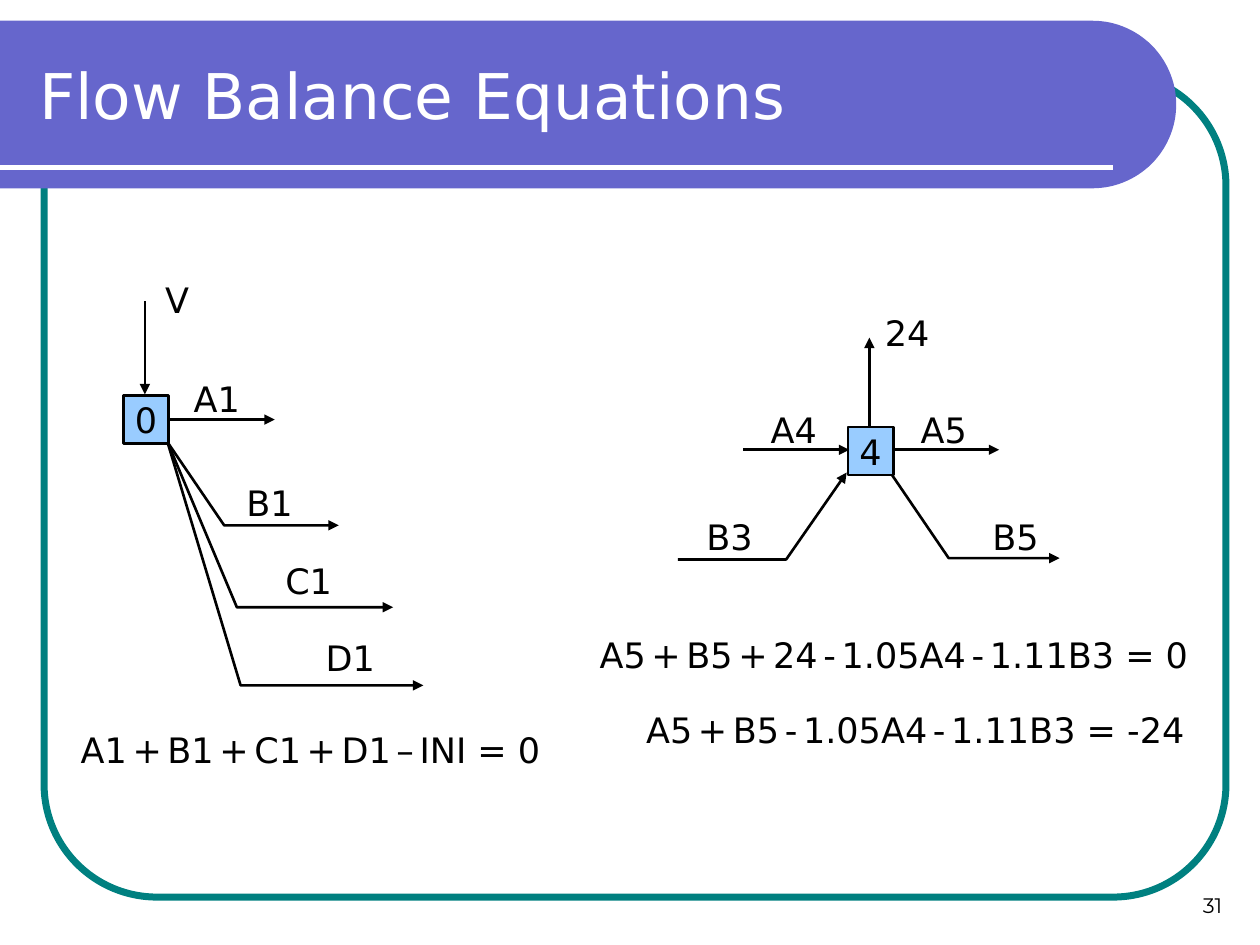
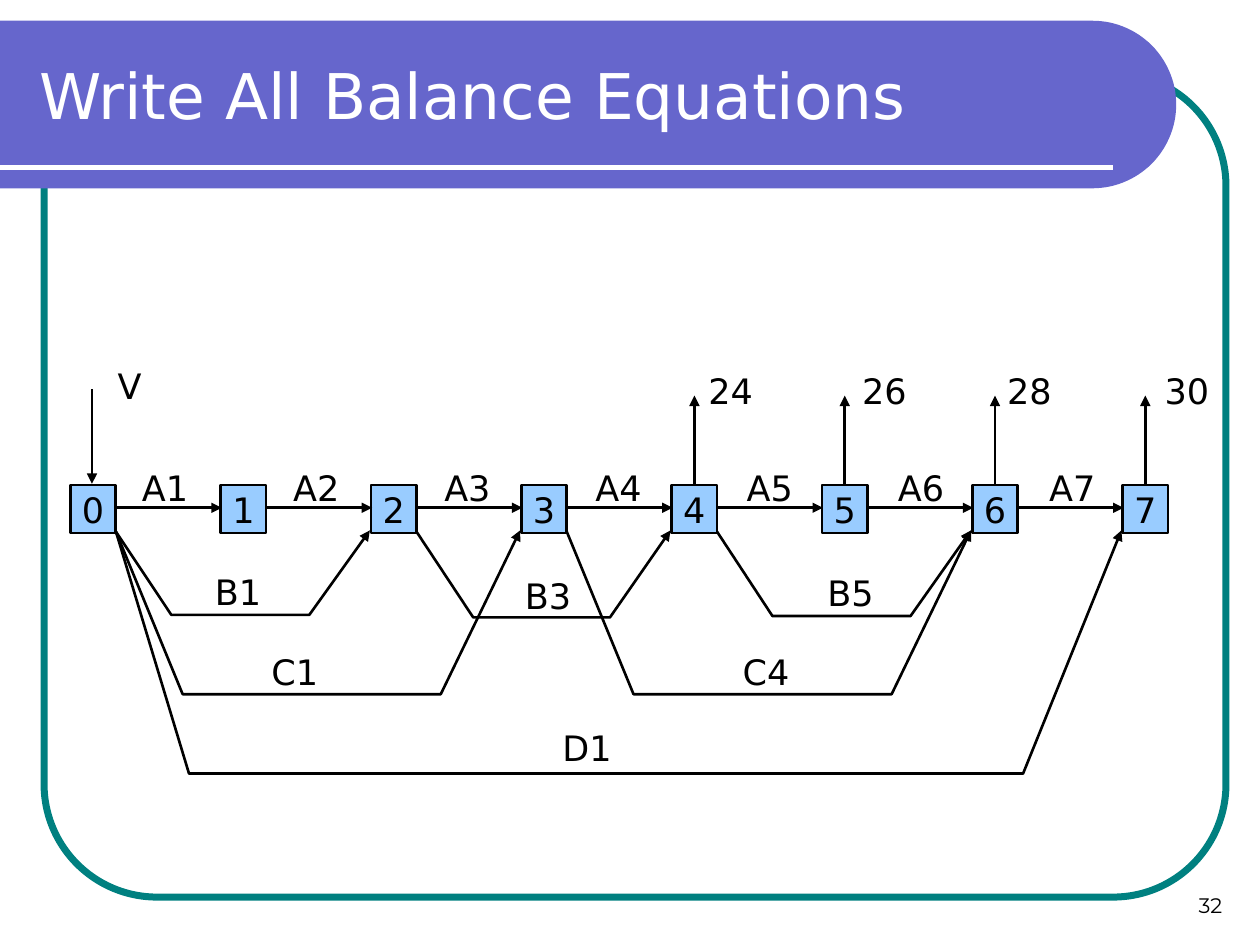
"""Build two slides on flow balance equations with python-pptx."""
import math

from lxml import etree
from pptx import Presentation
from pptx import util as u
from pptx.dml.color import RGBColor
from pptx.enum import shapes, text as t
from pptx.oxml import ns

BLACK = RGBColor(0x00, 0x00, 0x00)
WHITE = RGBColor(0xFF, 0xFF, 0xFF)
TEAL = RGBColor(0x00, 0x80, 0x80)
VIOLET = RGBColor(0x66, 0x66, 0xCC)
SKY = RGBColor(0x99, 0xCC, 0xFF)
FONT = "DejaVu Sans"
NUMBER_FONT = "Montserrat"
NODE_WIDTH, NODE_HEIGHT = 0.36, 0.38
LABEL_WIDTH, LABEL_HEIGHT = 0.6, 0.43


def box(left, top, width, height):
    return [u.Inches(value) for value in (left, top, width, height)]


def write(frame, content, size=20, color=BLACK, font=FONT, align=t.PP_ALIGN.CENTER,
          anchor=t.MSO_ANCHOR.TOP, wrap=True):
    frame.word_wrap = wrap
    frame.auto_size = t.MSO_AUTO_SIZE.NONE
    frame.vertical_anchor = anchor
    paragraph = frame.paragraphs[0]
    paragraph.alignment = align
    pieces = [(content, size)] if isinstance(content, str) else content
    for piece, piece_size in pieces:
        run = paragraph.add_run()
        run.text = piece
        run.font.size = u.Pt(piece_size)
        run.font.name = font
        run.font.color.rgb = color


class Deck:
    def __init__(self):
        self.presentation = Presentation()
        self.presentation.slide_width = u.Inches(10)
        self.presentation.slide_height = u.Inches(7.5)
        self.layout = self.presentation.slide_layouts[5]
        self.slide = None

    def add_slide(self, title, number):
        first = self.slide is None
        self.slide = self.presentation.slides.add_slide(self.layout)
        if first:
            self.decorate_layout()
        heading = self.slide.shapes.title
        heading.left, heading.top, heading.width, heading.height = box(0.21, 0.25, 8.77, 1)
        write(heading.text_frame, title, size=36, color=WHITE,
              align=t.PP_ALIGN.LEFT, anchor=t.MSO_ANCHOR.MIDDLE)
        self.text(str(number), 7.47, 6.83, 2.33, 0.5, size=12, font=NUMBER_FONT,
                  align=t.PP_ALIGN.RIGHT, anchor=t.MSO_ANCHOR.BOTTOM)

    def decorate_layout(self):
        frame = self.slide.shapes.add_shape(
            shapes.MSO_SHAPE.ROUNDED_RECTANGLE, *box(0.35, 0.58, 9.38, 6.54))
        frame.adjustments[0] = 0.137
        frame.fill.background()
        self.outline(frame, TEAL, 4)

        radius, center_x, center_y = 0.665, 8.67, 0.83
        angles = [math.radians(degree) for degree in range(-90, 91, 3)]
        arc = [(center_x + radius * math.cos(angle), center_y + radius * math.sin(angle))
               for angle in angles]
        band = self.freeform([(0, arc[0][1]), *arc, (0, arc[-1][1])], close=True)
        band.fill.solid()
        band.fill.fore_color.rgb = VIOLET
        band.line.fill.background()
        band.shadow.inherit = False

        rule = self.route((0, 1.33), (8.83, 1.33), color=WHITE, width=3, arrow=False)
        for shape in (frame, band, rule):
            self.layout.shapes.element.append(shape.element)

    def outline(self, shape, color=BLACK, width=1.5, arrow=False):
        shape.line.color.rgb = color
        shape.line.width = u.Pt(width)
        properties = shape.element.spPr
        if arrow:
            etree.SubElement(properties.find(ns.qn("a:ln")), ns.qn("a:tailEnd"), type="triangle")
        etree.SubElement(properties, ns.qn("a:effectLst"))

    def freeform(self, points, close=False):
        start, *others = [(u.Inches(x), u.Inches(y)) for x, y in points]
        builder = self.slide.shapes.build_freeform(*start)
        builder.add_line_segments(others, close=close)
        return builder.convert_to_shape()

    def route(self, *points, color=BLACK, width=1.5, arrow=True):
        if len(points) == 2:
            ends = [u.Inches(value) for point in points for value in point]
            shape = self.slide.shapes.add_connector(shapes.MSO_CONNECTOR.STRAIGHT, *ends)
        else:
            shape = self.freeform(points)
            shape.fill.background()
        self.outline(shape, color, width, arrow)
        return shape

    def text(self, content, left, top, width=LABEL_WIDTH, height=LABEL_HEIGHT, **style):
        shape = self.slide.shapes.add_textbox(*box(left, top, width, height))
        write(shape.text_frame, content, **style)

    def labels(self, places):
        for name, (left, top) in places.items():
            self.text(name, left, top)

    def equation(self, formula, left, top, width):
        terms, result = formula.split(" = ")
        *leading, last = terms.split(" ")
        pieces = [piece for term in leading for piece in ((term, 20), (" ", 10))]
        self.text(pieces + [(f"{last} = {result}", 20)], left, top, width)

    def node(self, name, left, top):
        shape = self.slide.shapes.add_shape(
            shapes.MSO_SHAPE.RECTANGLE, *box(left, top, NODE_WIDTH, NODE_HEIGHT))
        shape.fill.solid()
        shape.fill.fore_color.rgb = SKY
        self.outline(shape)
        write(shape.text_frame, name, anchor=t.MSO_ANCHOR.MIDDLE, wrap=False)


def flow_balance(deck):
    deck.add_slide("Flow Balance Equations", 31)
    deck.node("0", 0.98, 3.14)
    deck.route((1.15, 2.39), (1.15, 3.13))
    deck.route((1.34, 3.33), (2.18, 3.33))
    for bend, end, level in ((1.78, 2.69, 4.17), (1.88, 3.12, 4.82), (1.91, 3.36, 5.44)):
        deck.route((1.33, 3.51), (bend, level), (end, level))
    deck.text("V", 1, 2.16, 0.81)
    deck.labels({"A1": (1.42, 2.95), "B1": (1.84, 3.77), "C1": (2.15, 4.39), "D1": (2.48, 5)})
    deck.equation("A1 + B1 + C1 + D1 – INI = 0", 0.43, 5.73, 4.07)

    deck.node("4", 6.73, 3.39)
    deck.route((6.9, 3.38), (6.9, 2.68))
    for start in (5.9, 7.09):
        deck.route((start, 3.57), (start + 0.84, 3.57))
    deck.route((5.38, 4.44), (6.24, 4.44), (6.72, 3.75))
    deck.route((7.08, 3.77), (7.53, 4.43), (8.41, 4.43))
    deck.labels({"24": (6.9, 2.42), "A4": (6, 3.19), "A5": (7.19, 3.19),
                 "B3": (5.49, 4.04), "B5": (7.76, 4.04)})
    deck.equation("A5 + B5 + 24 - 1.05A4 - 1.11B3 = 0", 4.58, 4.98, 5.03)
    deck.equation("A5 + B5 - 1.05A4 - 1.11B3 = -24", 4.88, 5.57, 4.77)


def all_balances(deck):
    deck.add_slide("Write All Balance Equations", 32)
    node_top = 3.85
    lefts = [0.56 + index * 8.35 / 7 for index in range(8)]
    for index, left in enumerate(lefts):
        deck.node(str(index), left, node_top)
    for index, left in enumerate(lefts[:-1]):
        deck.route((left + NODE_WIDTH, 4.03), (left + 1.2, 4.03))
        deck.text(f"A{index + 1}", 1.01 + 1.2 * index, 3.65)

    deck.route((0.73, 3.09), (0.73, 3.84))
    deck.text("V", 0.73, 2.84)
    outflows = {"24": 5.5, "26": 6.72, "28": 7.87, "30": 9.12}
    for left, (amount, label_left) in zip(lefts[4:], outflows.items()):
        middle = left + NODE_WIDTH / 2
        deck.route((middle, 3.84), (middle, 3.14))
        deck.text(amount, label_left, 2.88)

    detours = (("B1", 0, 2, 0.44, 0.48, 4.88, 1.59, 4.48),
               ("B3", 2, 3 + 1, 0.45, 0.48, 4.9, 4.05, 4.51),
               ("B5", 4, 6, 0.44, 0.48, 4.89, 6.45, 4.49),
               ("C1", 0, 3, 0.53, 0.63, 5.51, 2.04, 5.11),
               ("C4", 3, 6, 0.53, 0.63, 5.51, 5.78, 5.11),
               ("D1", 0, 7, 0.58, 0.78, 6.14, 4.36, 5.72))
    for name, source, target, descent, ascent, level, label_left, label_top in detours:
        start, end = lefts[source] + NODE_WIDTH, lefts[target] - 0.01
        deck.route((start, 4.22), (start + descent, level), (end - ascent, level), (end, 4.21))
        deck.text(name, label_left, label_top)


deck = Deck()
flow_balance(deck)
all_balances(deck)
deck.presentation.save("out.pptx")
